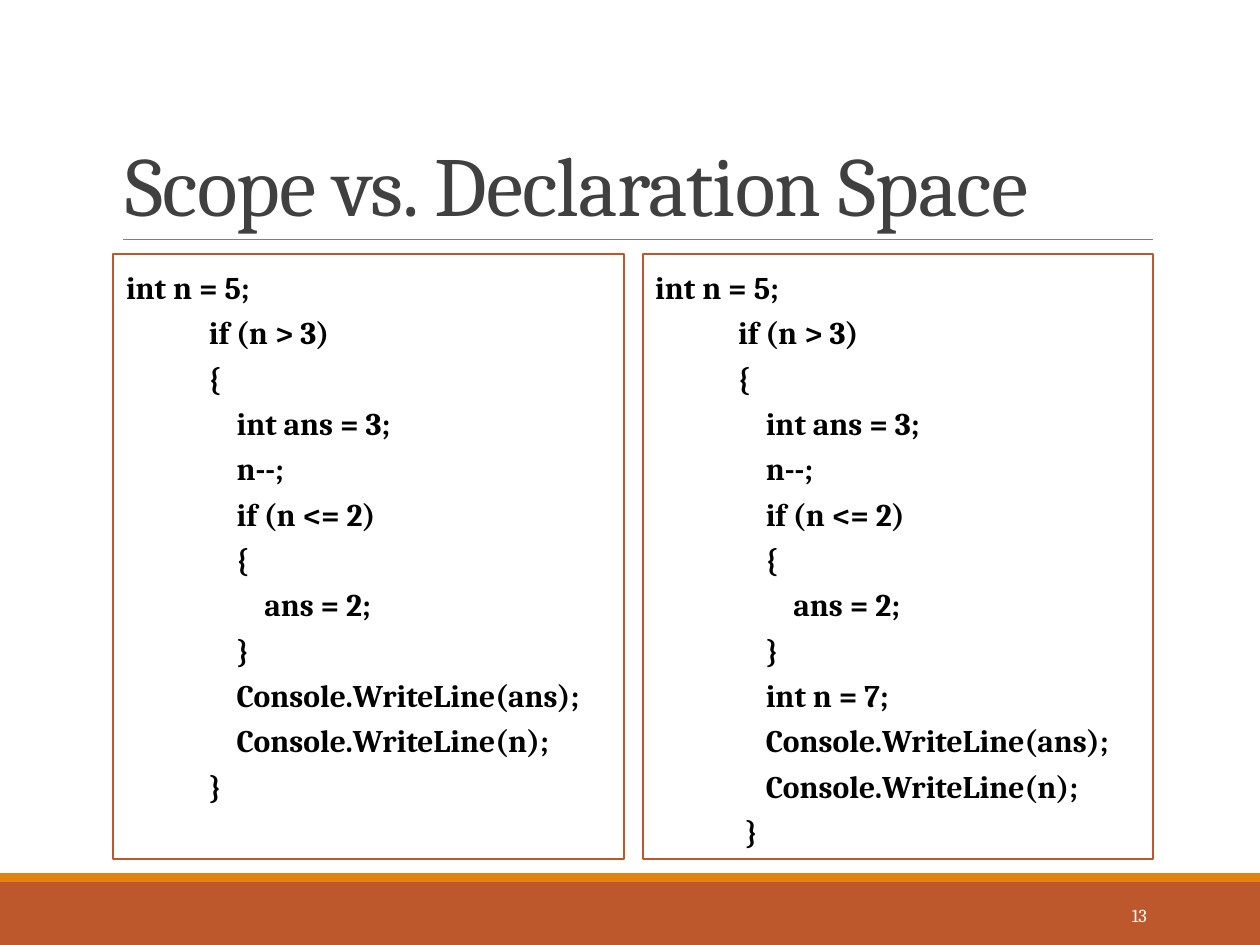
from dataclasses import dataclass

from lxml.etree import SubElement
from pptx import Presentation
from pptx.dml.color import RGBColor
from pptx.enum.shapes import MSO_CONNECTOR, MSO_SHAPE
from pptx.enum.text import MSO_ANCHOR, PP_ALIGN
from pptx.oxml.ns import qn
from pptx.util import Pt


@dataclass(frozen=True)
class Theme:
    """Colours, font and type sizes of the slide."""
    rust: RGBColor = RGBColor(0xBD, 0x58, 0x2C)
    orange: RGBColor = RGBColor(0xE4, 0x83, 0x12)
    white: RGBColor = RGBColor(0xFF, 0xFF, 0xFF)
    black: RGBColor = RGBColor(0, 0, 0)
    charcoal: RGBColor = RGBColor(0x40, 0x40, 0x40)
    grey: RGBColor = RGBColor(0x80, 0x80, 0x80)
    font: str = "Cambria"
    title_size: float = 48
    code_size: float = 18
    number_size: float = 10.5


@dataclass(frozen=True)
class Area:
    """A rectangle in points."""
    left: float
    top: float
    width: float
    height: float

    def lengths(self) -> list:
        """Return the four lengths in drawing order."""
        return [Pt(value) for value in (self.left, self.top, self.width, self.height)]


@dataclass(frozen=True)
class CodeLine:
    """A line of code and its depth in indent steps."""
    depth: float
    text: str


THEME = Theme()
CODE_MARGIN = 7.2
INDENT_STEP = 15.8
PANEL_LEFT, PANEL_PITCH = 64.8, 302.4

OPENING = [
    CodeLine(0, "int n = 5;"),
    CodeLine(3, "if (n > 3)"),
    CodeLine(3, "{"),
    CodeLine(4, "int ans = 3;"),
    CodeLine(4, "n--;"),
    CodeLine(4, "if (n <= 2)"),
    CodeLine(4, "{"),
    CodeLine(5, "ans = 2;"),
    CodeLine(4, "}"),
]
OUTPUT = [
    CodeLine(4, "Console.WriteLine(ans);"),
    CodeLine(4, "Console.WriteLine(n);"),
]
LISTINGS = [
    OPENING + OUTPUT + [CodeLine(3, "}")],
    OPENING + [CodeLine(4, "int n = 7;")] + OUTPUT + [CodeLine(3.25, "}")],
]


def apply(target, values: dict) -> None:
    """Set attributes from a dict of format values."""
    for name, value in values.items():
        setattr(target, name, value)


def add_rectangle(page, area: Area, fill: RGBColor, outline: RGBColor | None = None):
    """Draw a flat rectangle, with an outline if a colour is given."""
    box = page.shapes.add_shape(MSO_SHAPE.RECTANGLE, *area.lengths())
    box.shadow.inherit = False
    box.fill.solid()
    box.fill.fore_color.rgb = fill
    if outline is None:
        box.line.fill.background()
    else:
        box.line.color.rgb = outline
        box.line.width = Pt(1.25)
    return box


def add_span(para, text: str, size: float, color: RGBColor, bold: bool = False):
    """Add a formatted run to a paragraph."""
    span = para.add_run()
    span.text = text
    apply(span.font, {"name": THEME.font, "size": Pt(size), "bold": bold})
    span.font.color.rgb = color
    return span


def add_label(page, area: Area, anchor: MSO_ANCHOR, alignment: PP_ALIGN):
    """Add a wrapping text box and return its paragraph."""
    frame = page.shapes.add_textbox(*area.lengths()).text_frame
    apply(frame, {"word_wrap": True, "vertical_anchor": anchor})
    para = frame.paragraphs[0]
    para.alignment = alignment
    return para


def add_code_panel(page, area: Area, listing: list[CodeLine]) -> None:
    """Draw an outlined panel of indented code."""
    frame = add_rectangle(page, area, THEME.white, THEME.rust).text_frame
    apply(frame, {
        "word_wrap": True, "vertical_anchor": MSO_ANCHOR.TOP,
        "margin_left": 0, "margin_right": 0,
        "margin_top": Pt(3.6), "margin_bottom": Pt(3.6),
    })
    for index, line in enumerate(listing):
        para = frame.add_paragraph() if index else frame.paragraphs[0]
        apply(para, {"alignment": PP_ALIGN.LEFT, "line_spacing": 1.2})
        margin = Pt(CODE_MARGIN + line.depth * INDENT_STEP)
        para._p.get_or_add_pPr().set("marL", str(int(margin)))
        add_span(para, line.text, THEME.code_size, THEME.black, bold=True)


def add_rule(page, left: float, right: float, top: float) -> None:
    """Draw the thin horizontal line below the title."""
    rule = page.shapes.add_connector(
        MSO_CONNECTOR.STRAIGHT, Pt(left), Pt(top), Pt(right), Pt(top))
    rule.line.color.rgb = THEME.grey
    rule.line.width = Pt(0.5)
    SubElement(rule._element.spPr, qn("a:effectLst"))


def build() -> None:
    """Build and save the slide."""
    deck = Presentation()
    apply(deck, {"slide_width": Pt(720), "slide_height": Pt(540)})
    page = deck.slides.add_slide(deck.slide_layouts[6])

    add_rectangle(page, Area(0, 504, 720, 36), THEME.rust)
    add_rectangle(page, Area(0, 499, 720, 5), THEME.orange)
    add_rule(page, 70.5, 658.8, 136.8)

    title = add_label(page, Area(PANEL_LEFT, 22.5, 594, 114.3),
                      MSO_ANCHOR.BOTTOM, PP_ALIGN.LEFT)
    title.line_spacing = 0.85
    span = add_span(title, "Scope vs. Declaration Space", THEME.title_size, THEME.charcoal)
    span.font._element.set("spc", "-50")

    for column, listing in enumerate(LISTINGS):
        area = Area(PANEL_LEFT + column * PANEL_PITCH, 145.2, 291.6, 345.8)
        add_code_panel(page, area, listing)

    number = add_label(page, Area(584.6, 508.5, 77.8, 28.8),
                       MSO_ANCHOR.MIDDLE, PP_ALIGN.RIGHT)
    add_span(number, "13", THEME.number_size, THEME.white)
    deck.save("out.pptx")


build()
